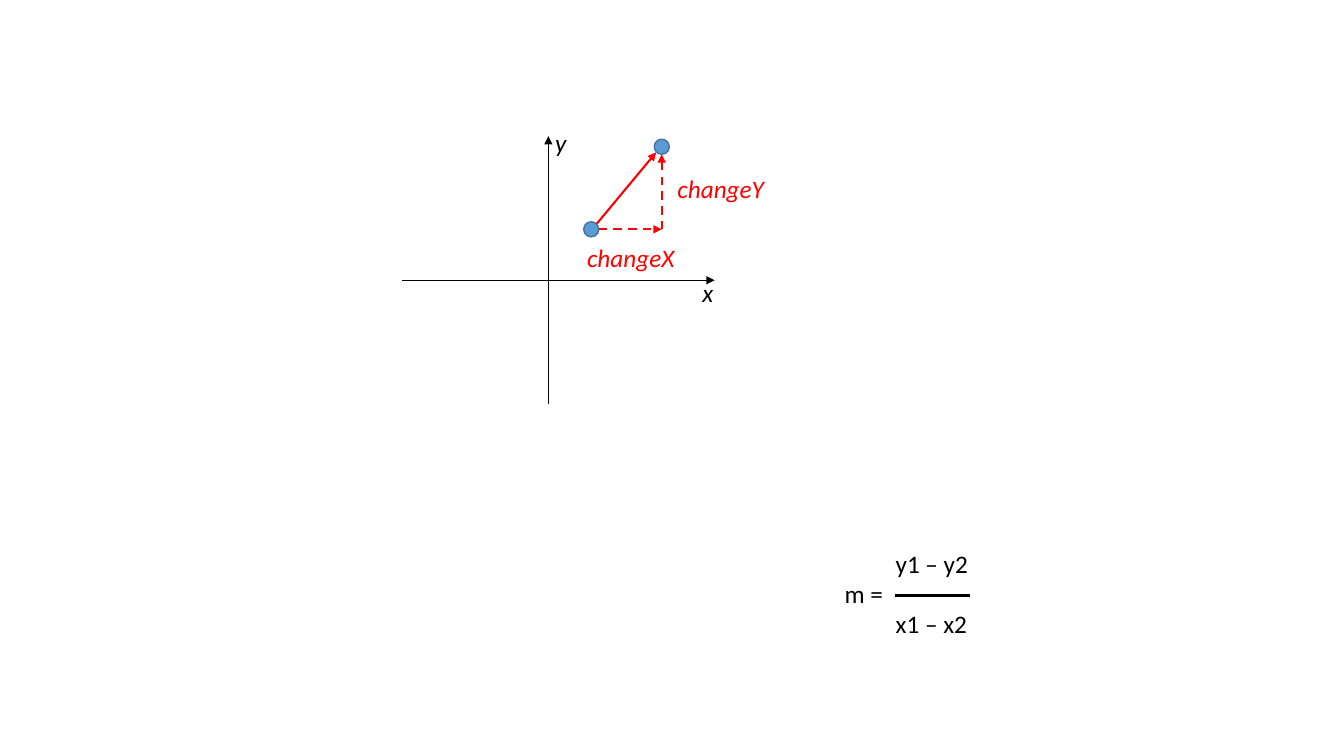
from lxml import etree
from pptx import Presentation
from pptx.dml.color import RGBColor
from pptx.enum.dml import MSO_LINE
from pptx.enum.shapes import MSO_CONNECTOR, MSO_SHAPE
from pptx.enum.text import MSO_AUTO_SIZE
from pptx.oxml.ns import qn
from pptx.util import Pt

BLACK, RED = "000000", "FF0000"
DOT_SIZE = 10.8


def color(hex_code):
    """Turn a hex string into a colour."""
    return RGBColor.from_string(hex_code)


def add_line(slide, start, end, ink, width, arrow=True, dashed=False):
    """Draw a straight line, with an arrowhead at its end if wanted."""
    line = slide.shapes.add_connector(
        MSO_CONNECTOR.STRAIGHT, *(Pt(value) for value in (*start, *end)))
    line.line.color.rgb = color(ink)
    line.line.width = Pt(width)
    if dashed:
        line.line.dash_style = MSO_LINE.DASH
    if arrow:
        outline = line.line._get_or_add_ln()
        etree.SubElement(outline, qn("a:tailEnd"), type="triangle")
    etree.SubElement(line._element.spPr, qn("a:effectLst"))


def add_dot(slide, center):
    """Draw a blue point around its centre."""
    x, y = center
    dot = slide.shapes.add_shape(
        MSO_SHAPE.OVAL, Pt(x - DOT_SIZE / 2), Pt(y - DOT_SIZE / 2),
        Pt(DOT_SIZE), Pt(DOT_SIZE))
    dot.shadow.inherit = False
    dot.fill.solid()
    dot.fill.fore_color.rgb = color("5B9BD5")
    dot.line.color.rgb = color("43739E")
    dot.line.width = Pt(1)


def add_text(slide, box, rows, ink=BLACK, italic=True, wrap=True):
    """Write rows of (text, left indent) in a text box."""
    frame = slide.shapes.add_textbox(*(Pt(value) for value in box)).text_frame
    frame.word_wrap = wrap
    frame.auto_size = MSO_AUTO_SIZE.SHAPE_TO_FIT_TEXT
    for index, (text, indent) in enumerate(rows):
        paragraph = frame.add_paragraph() if index else frame.paragraphs[0]
        if indent:
            paragraph._p.get_or_add_pPr().set("marL", str(Pt(indent)))
        run = paragraph.add_run()
        run.text = text
        run.font.name = "Calibri"
        run.font.size = Pt(18)
        run.font.italic = italic
        run.font.color.rgb = color(ink)


def add_axes(slide):
    """Draw the two axes and their letters."""
    origin_x, origin_y = 391.7, 200.2
    add_line(slide, (origin_x, 288.7), (origin_x, 97.2), BLACK, 0.5)
    add_line(slide, (287.3, origin_y), (510.5, origin_y), BLACK, 0.5)
    add_text(slide, (389.5, 87.1, 23, 29), [("y", 0)], wrap=False)
    add_text(slide, (494.6, 194.4, 22.3, 29), [("x", 0)], wrap=False)


def add_slope(slide):
    """Draw the two points, the slope and its two changes."""
    first, second = (422.3, 163.8), (472.7, 104.8)
    corner = (second[0], first[1])
    radius = DOT_SIZE / 2
    add_dot(slide, first)
    add_dot(slide, second)
    add_line(slide, (first[0] + 4, first[1] - 4),
             (second[0] - 4, second[1] + 4), RED, 1.5)
    add_line(slide, (first[0] + radius, first[1]), corner, RED, 1.5, dashed=True)
    add_line(slide, corner, (second[0], second[1] + radius), RED, 1.5, dashed=True)
    add_text(slide, (412.2, 169.2, 85, 29), [("changeX", 0)], RED)
    add_text(slide, (476.8, 120.2, 85, 29), [("changeY", 0)], RED)


def add_formula(slide):
    """Write the slope formula as a fraction."""
    rows = [("y1 – y2", 36.5), ("m =", 0), ("x1 – x2", 36.5)]
    add_text(slide, (596.2, 388.1, 127.4, 72.7), rows, italic=False)
    add_line(slide, (639.4, 425.3), (692.6, 425.3), BLACK, 2.25, arrow=False)


def main():
    """Build the slide and save it."""
    deck = Presentation()
    deck.slide_width, deck.slide_height = Pt(960), Pt(540)
    slide = deck.slides.add_slide(deck.slide_layouts[6])
    add_axes(slide)
    add_slope(slide)
    add_formula(slide)
    deck.save("out.pptx")


main()
